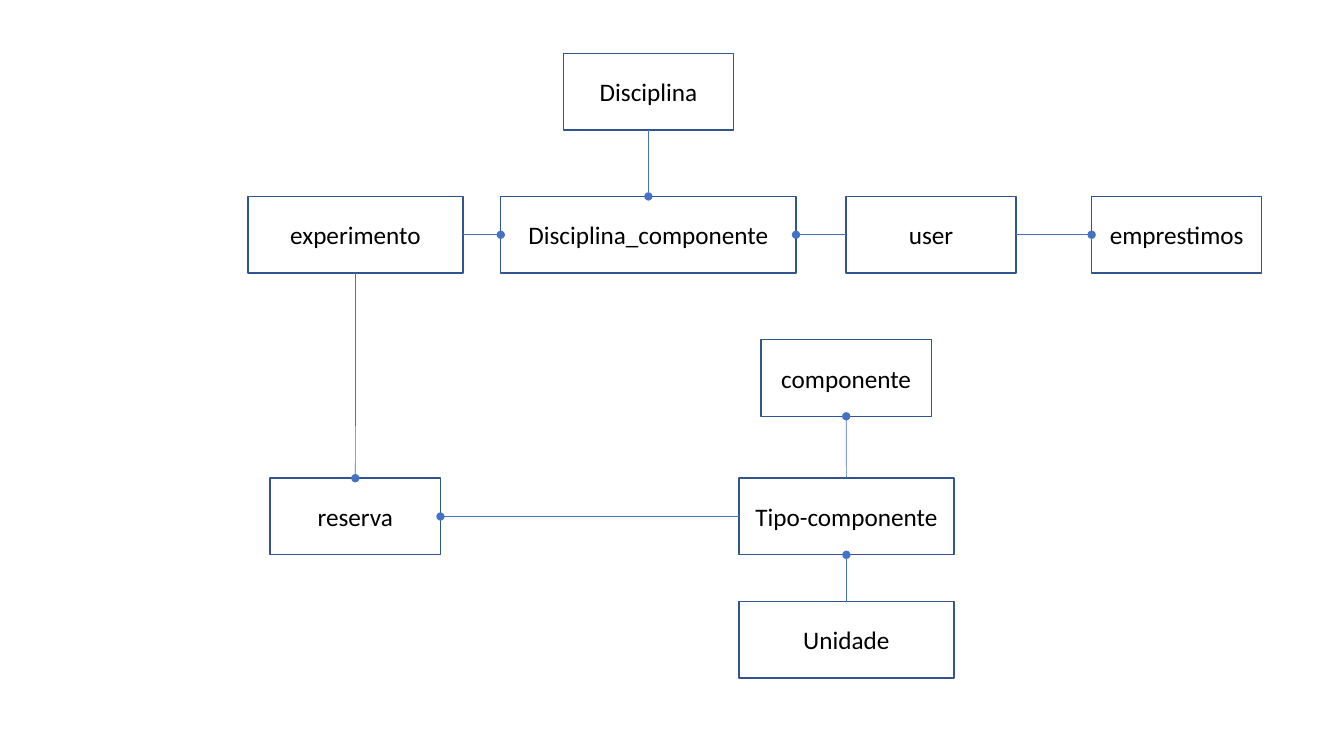
"""Draw an entity diagram of a laboratory loan system."""
import pptx
import pptx.dml.color
import pptx.enum.shapes
import pptx.enum.text
import pptx.oxml
import pptx.util

Cm = pptx.util.Cm
Pt = pptx.util.Pt
TOP, LEFT, BOTTOM, RIGHT = range(4)


def paint(part, color):
    part.solid()
    part.fore_color.rgb = pptx.dml.color.RGBColor.from_string(color)


deck = pptx.Presentation()
deck.slide_width, deck.slide_height = Cm(33.87), Cm(19.05)
slide = deck.slides.add_slide(deck.slide_layouts[6])

small, wide, long = 4.29, 5.42, 7.44
high = 1.93
tables = [
    ("Disciplina", 14.2, 1.35, small),
    ("experimento", 6.25, 4.95, wide),
    ("Disciplina_componente", 12.62, 4.95, long),
    ("user", 21.32, 4.95, small),
    ("emprestimos", 27.51, 4.95, small),
    ("componente", 19.18, 8.56, small),
    ("reserva", 6.81, 12.05, small),
    ("Tipo-componente", 18.62, 12.05, wide),
    ("Unidade", 18.62, 15.16, wide),
]
boxes = {}
for name, left, top, width in tables:
    box = slide.shapes.add_shape(
        pptx.enum.shapes.MSO_SHAPE.RECTANGLE, Cm(left), Cm(top), Cm(width), Cm(high))
    box.shadow.inherit = False
    box.fill.background()
    paint(box.line.fill, "325491")
    box.line.width = Pt(1)
    frame = box.text_frame
    frame.word_wrap = True
    frame.vertical_anchor = pptx.enum.text.MSO_ANCHOR.MIDDLE
    para = frame.paragraphs[0]
    para.text = name
    para.alignment = pptx.enum.text.PP_ALIGN.CENTER
    para.font.name = "Calibri"
    para.font.size = Pt(18)
    paint(para.font.fill, "000000")
    boxes[name] = box

links = [
    ("Disciplina_componente", TOP, "Disciplina", BOTTOM),
    ("Disciplina_componente", LEFT, "experimento", RIGHT),
    ("Disciplina_componente", RIGHT, "user", LEFT),
    ("emprestimos", LEFT, "user", RIGHT),
    ("reserva", TOP, "experimento", BOTTOM),
    ("reserva", RIGHT, "Tipo-componente", LEFT),
    ("componente", BOTTOM, "Tipo-componente", TOP),
    ("Tipo-componente", BOTTOM, "Unidade", TOP),
]
for many, start, one, end in links:
    link = slide.shapes.add_connector(
        pptx.enum.shapes.MSO_CONNECTOR.STRAIGHT, 0, 0, 0, 0)
    link.begin_connect(boxes[many], start)
    link.end_connect(boxes[one], end)
    paint(link.line.fill, "4472C4")
    link.line.width = Pt(0.5)
    props = link._element.spPr
    dot = pptx.oxml.ns.qn("a:headEnd")
    props.ln.append(props.ln.makeelement(dot, {"type": "oval"}))
    props.append(props.makeelement(pptx.oxml.ns.qn("a:effectLst"), {}))

deck.save("out.pptx")
